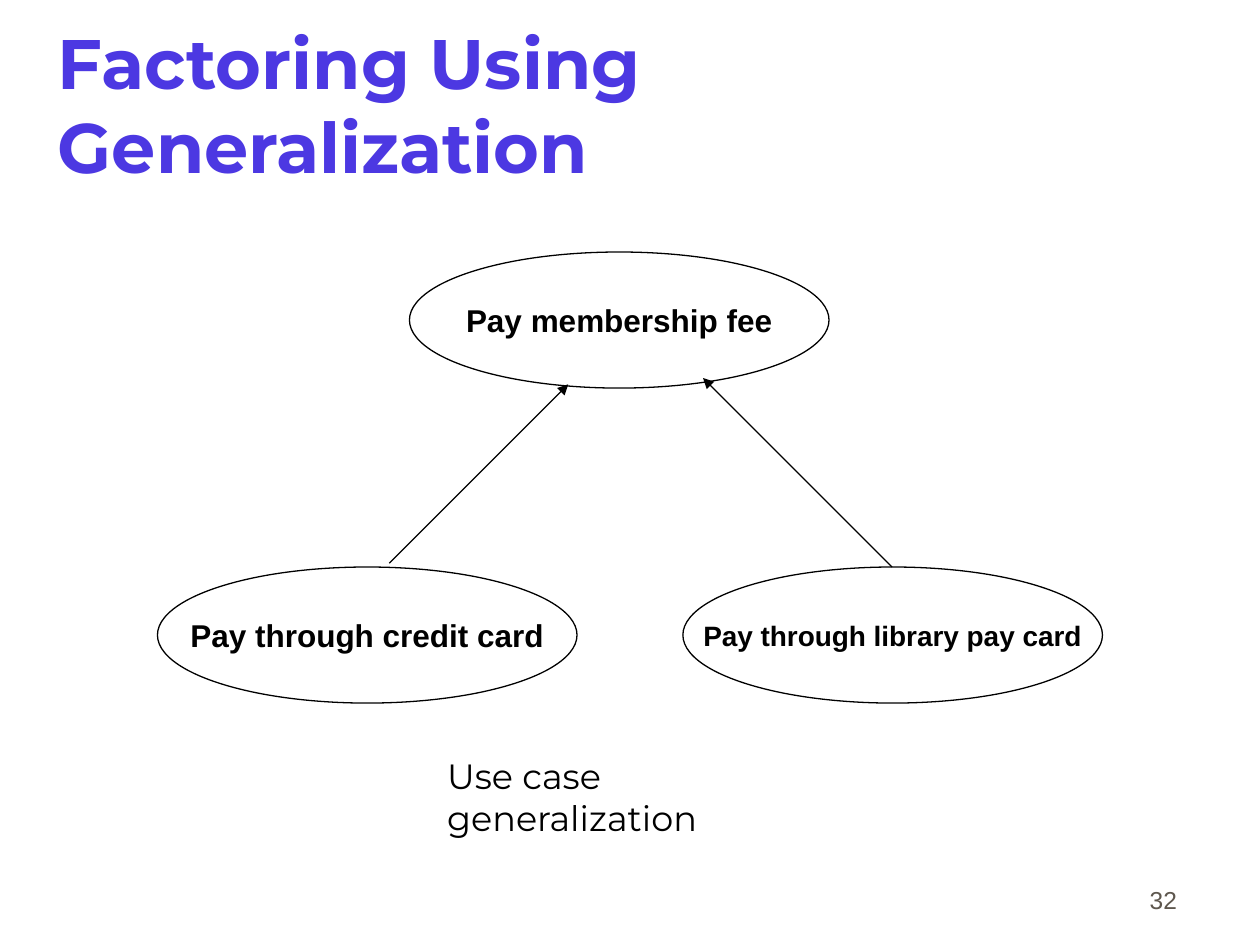
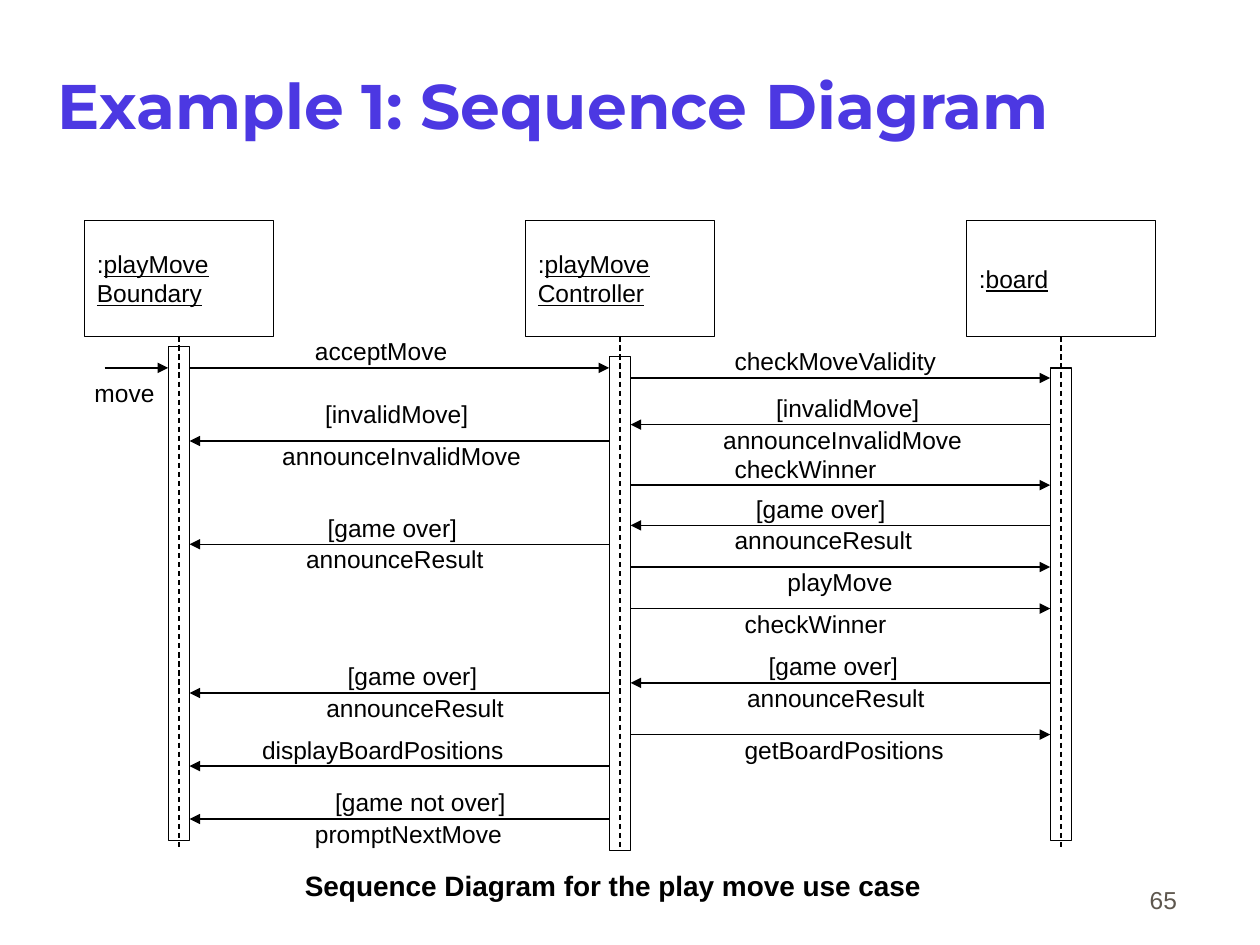
from pptx import Presentation
from pptx.dml.color import RGBColor
from pptx.enum.dml import MSO_LINE
from pptx.enum.shapes import MSO_CONNECTOR, MSO_SHAPE
from pptx.enum.text import MSO_ANCHOR, PP_ALIGN
from pptx.oxml.ns import qn
from pptx.util import Inches, Pt
from lxml.etree import SubElement

BLACK = RGBColor(0x00, 0x00, 0x00)
VIOLET = RGBColor(0x4C, 0x38, 0xE2)
GREY = RGBColor(0x5E, 0x57, 0x4E)
BODY_FONT = "Arial"
TITLE_FONT = "Montserrat"
LINE_WIDTH = Pt(0.75)

# Use cases: text, left, top, font size
USE_CASES = [
    ("Pay membership fee", 3.25, 2, 18),
    ("Pay through library pay card", 5.42, 4.5, 16),
    ("Pay through credit card", 1.25, 4.5, 18),
]
USE_CASE_SIZE = (3.33, 1.08)
GENERALIZATIONS = [((3.09, 4.47), (4.51, 3.05)), ((7.08, 4.5), (5.58, 3))]

# Participants: class name in lines, activation top, activation bottom
PARTICIPANTS = [
    (["playMove", "Boundary"], 2.75, 6.67),
    (["playMove", "Controller"], 2.83, 6.75),
    (["board"], 2.92, 6.67),
]
FIRST_LIFELINE, LIFELINE_GAP = 1.42, 3.5
HEADER_TOP, HEADER_WIDTH, HEADER_HEIGHT = 1.75, 1.5, 0.92
LIFELINE_BOTTOM = 6.75
BAR_WIDTH = 0.17
ABOVE, BELOW = -0.25, 0

# Messages: sender, receiver, height on slide, labels (text, left, offset from arrow)
MESSAGES = [
    (0, 1, 2.92, [("acceptMove", 2.5, ABOVE)]),
    (1, 2, 3, [("checkMoveValidity", 5.83, ABOVE)]),
    (2, 1, 3.37, [("[invalidMove]", 6.16, ABOVE), ("announceInvalidMove", 5.74, BELOW)]),
    (1, 0, 3.5, [("[invalidMove]", 2.58, -0.33), ("announceInvalidMove", 2.24, BELOW)]),
    (1, 2, 3.85, [("checkWinner", 5.83, ABOVE)]),
    (2, 1, 4.17, [("[game over]", 6, ABOVE), ("announceResult", 5.83, BELOW)]),
    (1, 0, 4.32, [("[game over]", 2.6, ABOVE), ("announceResult", 2.43, BELOW)]),
    (1, 2, 4.5, [("playMove", 6.25, BELOW)]),
    (1, 2, 4.83, [("checkWinner", 5.91, BELOW)]),
    (2, 1, 5.42, [("[game over]", 6.1, ABOVE), ("announceResult", 5.93, BELOW)]),
    (1, 0, 5.5, [("[game over]", 2.76, ABOVE), ("announceResult", 2.59, BELOW)]),
    (1, 2, 5.83, [("getBoardPositions", 5.91, BELOW)]),
    (1, 0, 6.08, [("displayBoardPositions", 2.08, ABOVE)]),
    (1, 0, 6.5, [("[game not over]", 2.66, ABOVE), ("promptNextMove", 2.5, BELOW)]),
]


def style(paragraph, size, color=BLACK, name=BODY_FONT, bold=False, align=PP_ALIGN.LEFT):
    paragraph.alignment = align
    font = paragraph.font
    font.name, font.size, font.bold = name, Pt(size), bold
    font.color.rgb = color


def add_text(slide, lines, left, top, width, height, size, margins=(0, 0),
             anchor=MSO_ANCHOR.TOP, **look):
    """Add a text box of one paragraph, with line breaks between its lines."""
    box = slide.shapes.add_textbox(Inches(left), Inches(top), Inches(width), Inches(height))
    frame = box.text_frame
    frame.word_wrap = True
    frame.vertical_anchor = anchor
    frame.margin_left = frame.margin_right = Inches(margins[0])
    frame.margin_top = frame.margin_bottom = Inches(margins[1])
    paragraph = frame.paragraphs[0]
    style(paragraph, size, **look)
    for index, line in enumerate(lines):
        if index:
            paragraph.add_line_break()
        paragraph.add_run().text = line


def add_outline(slide, kind, left, top, width, height):
    shape = slide.shapes.add_shape(
        kind, Inches(left), Inches(top), Inches(width), Inches(height))
    shape.shadow.inherit = False
    shape.fill.background()
    shape.line.color.rgb = BLACK
    shape.line.width = LINE_WIDTH
    shape.text_frame.word_wrap = False
    shape.text_frame.vertical_anchor = MSO_ANCHOR.MIDDLE
    return shape


def add_line(slide, start, end, arrow=True):
    """Draw a solid arrow, or a plain dashed line."""
    connector = slide.shapes.add_connector(
        MSO_CONNECTOR.STRAIGHT, *(Inches(value) for value in (*start, *end)))
    connector.line.color.rgb = BLACK
    connector.line.width = LINE_WIDTH
    if arrow:
        SubElement(connector.line._get_or_add_ln(), qn("a:tailEnd"), type="triangle")
    else:
        connector.line.dash_style = MSO_LINE.DASH
    SubElement(connector._element.spPr, qn("a:effectLst"))


def add_titled_slide(presentation, title_lines, title_size, number):
    slide = presentation.slides.add_slide(presentation.slide_layouts[6])
    add_text(slide, [number], 7.36, 6.81, 2.08, 0.5, 14, margins=(0.1, 0.05),
             anchor=MSO_ANCHOR.BOTTOM, color=GREY, align=PP_ALIGN.RIGHT)
    add_text(slide, title_lines, 0.44, 0.2, 8.5, 1.25, title_size, margins=(0.02, 0.05),
             anchor=MSO_ANCHOR.MIDDLE, color=VIOLET, name=TITLE_FONT, bold=True)
    return slide


def build_generalization(presentation):
    slide = add_titled_slide(presentation, ["Factoring Using", "Generalization"], 40, "32")
    for text, left, top, size in USE_CASES:
        ellipse = add_outline(slide, MSO_SHAPE.OVAL, left, top, *USE_CASE_SIZE)
        ellipse.text_frame.text = text
        style(ellipse.text_frame.paragraphs[0], size, bold=True, align=PP_ALIGN.CENTER)
    for start, end in GENERALIZATIONS:
        add_line(slide, start, end)
    add_text(slide, ["Use case generalization"], 3.45, 5.94, 3.29, 0.77, 20,
             margins=(0.1, 0.05), name=TITLE_FONT)


def lifeline_x(index):
    return FIRST_LIFELINE + index * LIFELINE_GAP


def add_participant(slide, index, name_lines, bar_top, bar_bottom):
    center = lifeline_x(index)
    header = add_outline(slide, MSO_SHAPE.RECTANGLE, center - HEADER_WIDTH / 2, HEADER_TOP,
                         HEADER_WIDTH, HEADER_HEIGHT)
    frame = header.text_frame
    for position, line in enumerate(name_lines):
        paragraph = frame.add_paragraph() if position else frame.paragraphs[0]
        style(paragraph, 14)
        if position == 0:
            paragraph.add_run().text = ":"
        run = paragraph.add_run()
        run.text = line
        run.font.underline = True
    add_outline(slide, MSO_SHAPE.RECTANGLE, center - BAR_WIDTH / 2, bar_top,
                BAR_WIDTH, bar_bottom - bar_top)
    add_line(slide, (center, HEADER_TOP + HEADER_HEIGHT), (center, LIFELINE_BOTTOM),
             arrow=False)


def add_label(slide, text, left, top):
    add_text(slide, [text], left, top, 2.1, 0.23, 14)


def build_sequence(presentation):
    slide = add_titled_slide(presentation, ["Example 1: Sequence Diagram"], 36, "65")
    for index, participant in enumerate(PARTICIPANTS):
        add_participant(slide, index, *participant)
    add_line(slide, (0.83, 2.92), (lifeline_x(0) - BAR_WIDTH / 2, 2.92))
    add_label(slide, "move", 0.75, 3)
    for sender, receiver, y, labels in MESSAGES:
        edge = BAR_WIDTH / 2 if receiver > sender else -BAR_WIDTH / 2
        add_line(slide, (lifeline_x(sender) + edge, y), (lifeline_x(receiver) - edge, y))
        for text, left, offset in labels:
            add_label(slide, text, left, y + offset)
    add_text(slide, ["Sequence Diagram for the play move use case"],
             2.42, 6.89, 5.2, 0.27, 16, bold=True)


def main():
    presentation = Presentation()
    presentation.slide_width = Inches(10)
    presentation.slide_height = Inches(7.5)
    build_generalization(presentation)
    build_sequence(presentation)
    presentation.save("out.pptx")


if __name__ == "__main__":
    main()
